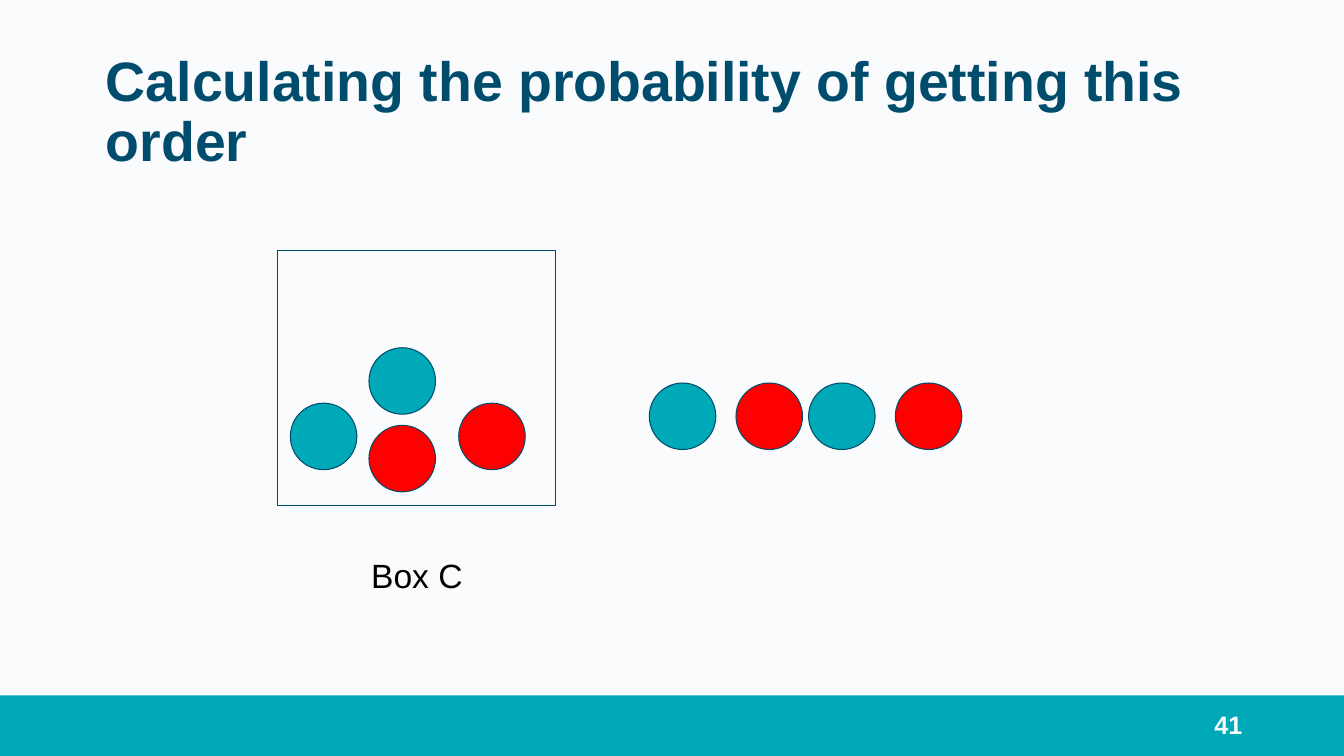
from pptx import Presentation
from pptx.dml.color import RGBColor
from pptx.enum.shapes import MSO_SHAPE
from pptx.enum.text import MSO_ANCHOR, PP_ALIGN
from pptx.util import Inches, Pt

COLORS = {
    "background": "FAFBFC",
    "teal": "00A9B7",
    "red": "FF0000",
    "navy": "004C6C",
    "black": "000000",
    "white": "FAFBFD",
}
TITLE = "Calculating the probability of getting this order"
BOX_LABEL = "Box C"
PAGE_NUMBER = "41"
BALL_SIZE = 0.66
BOX_BALLS = [
    (2.88, 4.0, "teal"),
    (3.66, 4.22, "red"),
    (4.55, 4.0, "red"),
    (3.66, 3.45, "teal"),
]
DRAWN_ORDER = ["teal", "red", "teal", "red"]
ORDER_LEFT, ORDER_TOP = 6.44, 3.8
PAIR_STEP, BALL_STEP = 1.58, 0.86


def color(name):
    return RGBColor.from_string(COLORS[name])


def add_filled_shape(slide, kind, left, top, width, height, fill, outlined=True):
    shape = slide.shapes.add_shape(
        kind, Inches(left), Inches(top), Inches(width), Inches(height))
    shape.shadow.inherit = False
    shape.fill.solid()
    shape.fill.fore_color.rgb = color(fill)
    if outlined:
        shape.line.color.rgb = color("navy")
        shape.line.width = Pt(0.75)
    else:
        shape.line.fill.background()


def add_text(slide, text, left, top, width, height, size, font_color,
             bold=False, alignment=PP_ALIGN.LEFT, anchor=MSO_ANCHOR.TOP,
             inset=0.13, line_spacing=1.0):
    text_box = slide.shapes.add_textbox(
        Inches(left), Inches(top), Inches(width), Inches(height))
    frame = text_box.text_frame
    frame.word_wrap = True
    frame.vertical_anchor = anchor
    frame.margin_left = frame.margin_right = Inches(inset)
    frame.margin_top = frame.margin_bottom = Inches(inset)
    frame.text = text
    paragraph = frame.paragraphs[0]
    paragraph.alignment = alignment
    paragraph.line_spacing = line_spacing
    font = paragraph.runs[0].font
    font.name = "Arial"
    font.size = Pt(size)
    font.bold = bold
    font.color.rgb = color(font_color)


def main():
    presentation = Presentation()
    presentation.slide_width = Inches(13.33)
    presentation.slide_height = Inches(7.5)
    slide = presentation.slides.add_slide(presentation.slide_layouts[6])
    slide.background.fill.solid()
    slide.background.fill.fore_color.rgb = color("background")

    add_filled_shape(slide, MSO_SHAPE.RECTANGLE, 0, 6.9, 13.33, 0.6, "teal", outlined=False)
    add_text(slide, TITLE, 0.92, 0.4, 11.5, 1.45, 39.6, "navy", bold=True, line_spacing=0.9)
    add_text(slide, PAGE_NUMBER, 9.42, 6.99, 3, 0.4, 18, "white", bold=True,
             alignment=PP_ALIGN.RIGHT, anchor=MSO_ANCHOR.MIDDLE, inset=0.1)

    add_filled_shape(slide, MSO_SHAPE.RECTANGLE, 2.75, 2.49, 2.76, 2.53, "background")
    add_text(slide, BOX_LABEL, 3.45, 5.38, 1.37, 0.67, 24, "black", alignment=PP_ALIGN.CENTER)

    order_balls = [
        (ORDER_LEFT + index // 2 * PAIR_STEP + index % 2 * BALL_STEP, ORDER_TOP, fill)
        for index, fill in enumerate(DRAWN_ORDER)
    ]
    for left, top, fill in BOX_BALLS + order_balls:
        add_filled_shape(slide, MSO_SHAPE.OVAL, left, top, BALL_SIZE, BALL_SIZE, fill)

    presentation.save("out.pptx")


if __name__ == "__main__":
    main()
